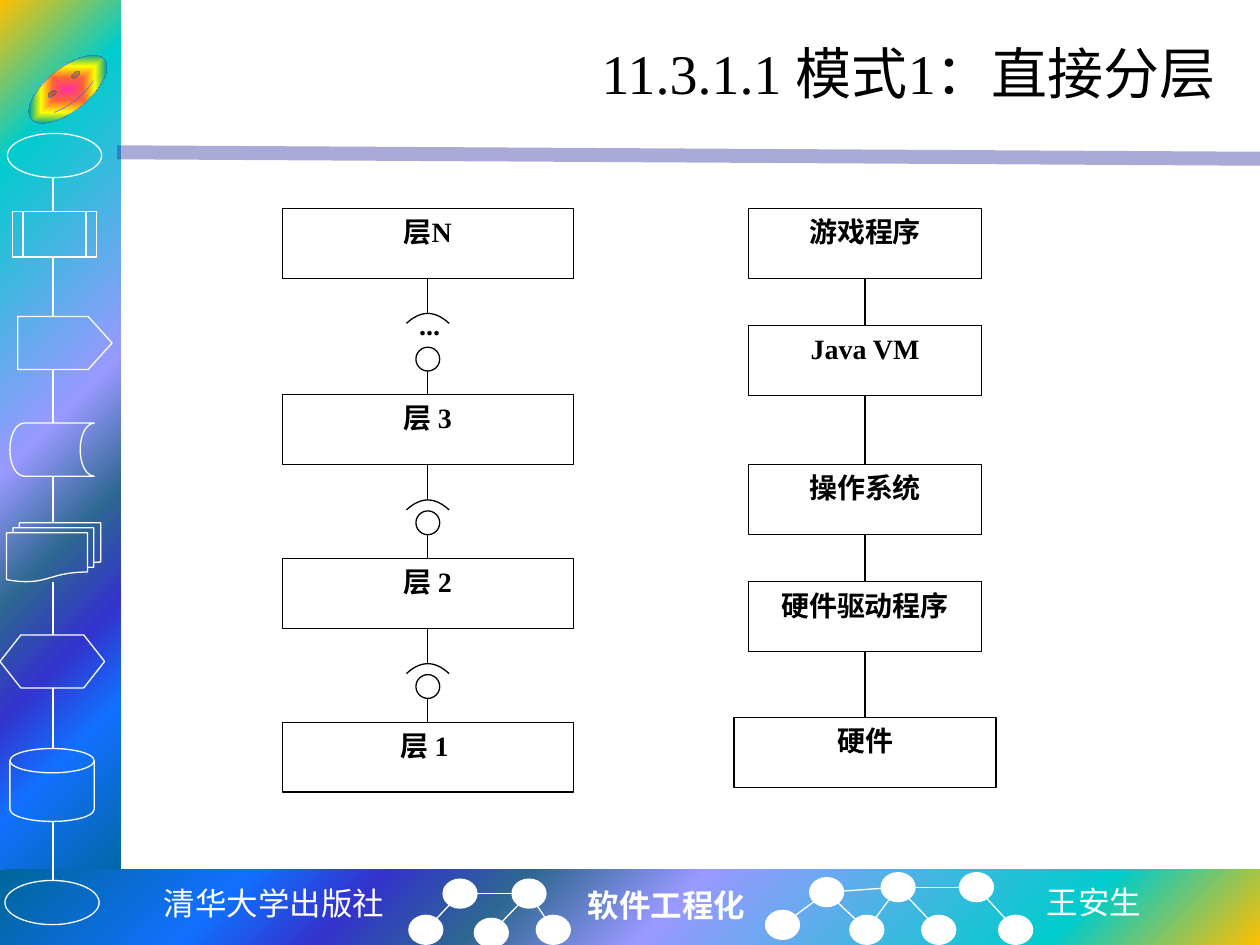
from dataclasses import dataclass
from itertools import pairwise

from lxml.etree import SubElement
from pptx import Presentation
from pptx.dml.color import RGBColor
from pptx.enum.shapes import MSO_CONNECTOR, MSO_SHAPE as Kind
from pptx.enum.text import MSO_ANCHOR as Anchor, MSO_AUTO_SIZE as AutoSize, PP_ALIGN as Align
from pptx.oxml.ns import qn
from pptx.util import Cm, Pt


@dataclass(frozen=True)
class Theme:
    ink: str = "000000"
    light: str = "FFFFFF"
    rule: str = "262699"
    serif: str = "Times New Roman"
    mono: str = "Noto Sans Mono"
    sans: str = "Noto Sans CJK SC"
    title: int = 32
    footer: int = 18
    label: int = 16
    hairline: float = 0.75
    ocean: tuple = ((0, "FFC000"), (16, "00CCCC"), (47, "9999FF"), (60, "2E6792"),
                    (71, "3333CC"), (81, "1170FF"), (100, "006699"))
    rainbow: tuple = ((0, "FF3399"), (25, "FF6633"), (50, "FFFF00"),
                      (75, "01A78F"), (100, "3366FF"))


@dataclass(frozen=True)
class Box:
    """Region of the page, in centimetres."""
    left: float
    top: float
    width: float
    height: float

    def inner(self, left, top, width, height):
        return Box(self.left + left, self.top + top, width, height)

    @property
    def lengths(self):
        return [Cm(n) for n in (self.left, self.top, self.width, self.height)]


THEME = Theme()


def rgb(code):
    return RGBColor.from_string(code)


# Basic parts
def add_shape(page, kind, box, line=None, fill=None):
    shape = page.shapes.add_shape(kind, *box.lengths)
    shape.shadow.inherit = False
    style(shape, line, fill)
    return shape


def style(shape, line=None, fill=None):
    if fill:
        shape.fill.solid()
        shape.fill.fore_color.rgb = rgb(fill)
    else:
        shape.fill.background()
    if line:
        shape.line.color.rgb = rgb(line)
        shape.line.width = Pt(THEME.hairline)
    else:
        shape.line.fill.background()


def add_line(page, start, end, color, width=THEME.hairline):
    ends = [Cm(n) for n in (*start, *end)]
    line = page.shapes.add_connector(MSO_CONNECTOR.STRAIGHT, *ends)
    line.line.color.rgb = rgb(color)
    line.line.width = Pt(width)
    SubElement(line.element.spPr, qn("a:effectLst"))
    return line


def radial_fill(shape, stops, kind, focus):
    shape.fill.gradient()
    grad = shape.element.spPr.find(qn("a:gradFill"))
    for child in list(grad):
        grad.remove(child)
    stop_list = SubElement(grad, qn("a:gsLst"))
    for position, color in stops:
        stop = SubElement(stop_list, qn("a:gs"), pos=str(position * 1000))
        SubElement(stop, qn("a:srgbClr"), val=color)
    shade = SubElement(grad, qn("a:path"), {"path": kind})
    edges = {side: str(n * 1000) for side, n in zip("ltrb", focus)}
    SubElement(shade, qn("a:fillToRect"), edges)


def write(shape, text, size, color=THEME.ink, font=THEME.serif, bold=False,
          align=Align.CENTER, anchor=Anchor.TOP, wrap=True):
    frame = shape.text_frame
    frame.word_wrap = wrap
    frame.vertical_anchor = anchor
    frame.auto_size = AutoSize.NONE if wrap else AutoSize.SHAPE_TO_FIT_TEXT
    para = frame.paragraphs[0]
    para.text = text
    para.alignment = align
    para.font.name = font
    para.font.size = Pt(size)
    para.font.bold = bold
    para.font.color.rgb = rgb(color)


def add_text(page, box, text, size, **options):
    write(page.shapes.add_textbox(*box.lengths), text, size, **options)


def add_label_box(page, box, text):
    shape = add_shape(page, Kind.RECTANGLE, box, THEME.ink)
    write(shape, text, THEME.label, bold=True)


# Title and the rule under it
def draw_header(page, box):
    rule = add_line(page, (2.36, 3.07), (25.4, 3.2), THEME.rule, 8)
    color = rule.element.spPr.find(".//" + qn("a:srgbClr"))
    SubElement(color, qn("a:alpha"), val="39000")
    add_text(page, box, "11.3.1.1 模式1：直接分层", THEME.title,
             align=Align.RIGHT, anchor=Anchor.MIDDLE)


# Bottom band with captions and two node graphs
def draw_footer(page, box):
    band = add_shape(page, Kind.RECTANGLE, box)
    radial_fill(band, THEME.ocean, "circle", (100, 100, 0, 0))
    captions = (("清华大学出版社", 3.02, 0.17, 5, THEME.mono, False),
                ("软件工程化", 11.58, 0.2, 3.71, THEME.serif, True),
                ("王安生", 20.83, 0.15, 2.44, THEME.sans, False))
    for text, left, top, width, font, bold in captions:
        add_text(page, box.inner(left, top, width, 1.02), text, THEME.footer,
                 color=THEME.light, font=font, bold=bold, wrap=False)
    draw_graph(page, box,
               ((8.23, 0.91), (8.92, 0.18), (10.31, 0.18), (9.55, 0.97), (10.8, 0.91)),
               ((0, 1), (1, 2), (2, 3), (2, 4)))
    draw_graph(page, box,
               ((15.42, 0.81), (16.31, 0.15), (17.75, 0.05), (19.33, 0.05),
                (17.12, 0.91), (18.57, 0.91), (20.12, 0.91)),
               ((0, 1), (1, 2), (2, 3), (1, 4), (2, 4), (2, 5), (3, 6)))


def draw_graph(page, box, nodes, links):
    width, height = 0.71, 0.61
    centers = [(box.left + x + width / 2, box.top + y + height / 2) for x, y in nodes]
    for start, end in links:
        add_line(page, centers[start], centers[end], THEME.light)
    for x, y in nodes:
        add_shape(page, Kind.OVAL, box.inner(x, y, width, height), fill=THEME.light)


# Left band and its chain of flowchart symbols
def draw_sidebar(page, box):
    band = add_shape(page, Kind.RECTANGLE, box)
    radial_fill(band, THEME.ocean, "circle", (0, 0, 100, 100))


def draw_flow(page, box):
    face = add_shape(page, Kind.SMILEY_FACE, box.inner(0.42, 1.37, 1.9, 0.86), "3366FF")
    face.adjustments[0] = 0.047
    face.rotation = -39
    face.line.width = Pt(0.25)
    radial_fill(face, THEME.rainbow, "shape", (50, 50, 50, 50))
    symbols = ((Kind.OVAL, 0.15, 2.69, 1.9, 0.89),
               (Kind.FLOWCHART_PREDEFINED_PROCESS, 0.25, 4.27, 1.7, 0.91),
               (Kind.PENTAGON, 0.36, 6.38, 1.9, 1.07),
               (Kind.FLOWCHART_STORED_DATA, 0.2, 8.53, 1.7, 1.07),
               (Kind.FLOWCHART_MULTIDOCUMENT, 0.13, 10.54, 1.9, 1.19),
               (Kind.FLOWCHART_PREPARATION, 0, 12.8, 2.11, 1.07),
               (Kind.FLOWCHART_MAGNETIC_DISK, 0.2, 15.09, 1.7, 1.47),
               (Kind.OVAL, 0.1, 17.75, 1.9, 0.89))
    places = [box.inner(*place) for _, *place in symbols]
    for (kind, *_), place in zip(symbols, places):
        shape = add_shape(page, kind, place, THEME.light)
        if kind == Kind.PENTAGON:
            shape.adjustments[0] = 0.45
    axis = box.left + 1.07
    for upper, lower in pairwise(places):
        add_line(page, (axis, upper.top + upper.height), (axis, lower.top), THEME.light)


# Layers joined by ball-and-socket interfaces
def draw_layers(page, box):
    height = 1.41
    layers = (("层N", 0), ("层 3", 3.76), ("层 2", 7.06), ("层 1 ", 10.36))
    axis = box.left + box.width / 2
    for text, top in layers:
        add_label_box(page, box.inner(0, top, box.width, height), text)
    for (_, upper), (_, lower) in pairwise(layers):
        draw_interface(page, axis, box.top + upper + height, box.top + lower)
    add_text(page, box.inner(2.51, 1.87, 1.85, 1.42), "...", THEME.label,
             bold=True, align=Align.LEFT)


def draw_interface(page, axis, top, bottom):
    socket, ball, half, rise = top + 0.71, 0.48, 0.43, 0.2
    add_line(page, (axis, top), (axis, socket), THEME.ink)
    steps = [n / 8 for n in range(-8, 9)]
    points = [(Cm(axis + half * t), Cm(socket + rise * t * t)) for t in steps]
    outline = page.shapes.build_freeform(*points[0], scale=1.0)
    outline.add_line_segments(points[1:], close=False)
    arc = outline.convert_to_shape()
    arc.shadow.inherit = False
    style(arc, THEME.ink)
    add_shape(page, Kind.OVAL, Box(axis - ball / 2, bottom - 2 * ball, ball, ball), THEME.ink)
    add_line(page, (axis, bottom - ball), (axis, bottom), THEME.ink)


# Example stack joined by plain lines
def draw_stack(page, box):
    height = 1.41
    parts = (("游戏程序", 0, 4.7), ("Java VM", 2.36, 4.7), ("操作系统", 5.17, 4.7),
             ("硬件驱动程序", 7.53, 4.7), ("硬件", 10.26, 5.28))
    axis = box.left + box.width / 2
    for text, top, width in parts:
        place = box.inner((box.width - width) / 2, top, width, height)
        add_label_box(page, place, text)
    for (_, upper, _), (_, lower, _) in pairwise(parts):
        add_line(page, (axis, box.top + upper + height), (axis, box.top + lower), THEME.ink)


def main():
    deck = Presentation()
    deck.slide_width, deck.slide_height = Cm(25.4), Cm(19.05)
    page = deck.slides.add_slide(deck.slide_layouts[6])
    draw_sidebar(page, Box(0, 0, 2.44, 18.01))
    draw_footer(page, Box(0, 17.53, 25.4, 1.52))
    draw_flow(page, Box(0, 0, 2.44, 19.05))
    draw_header(page, Box(3.18, 0.43, 21.59, 2.06))
    draw_layers(page, Box(5.69, 4.2, 5.87, 11.77))
    draw_stack(page, Box(14.8, 4.2, 5.28, 11.67))
    deck.save("out.pptx")


if __name__ == "__main__":
    main()
